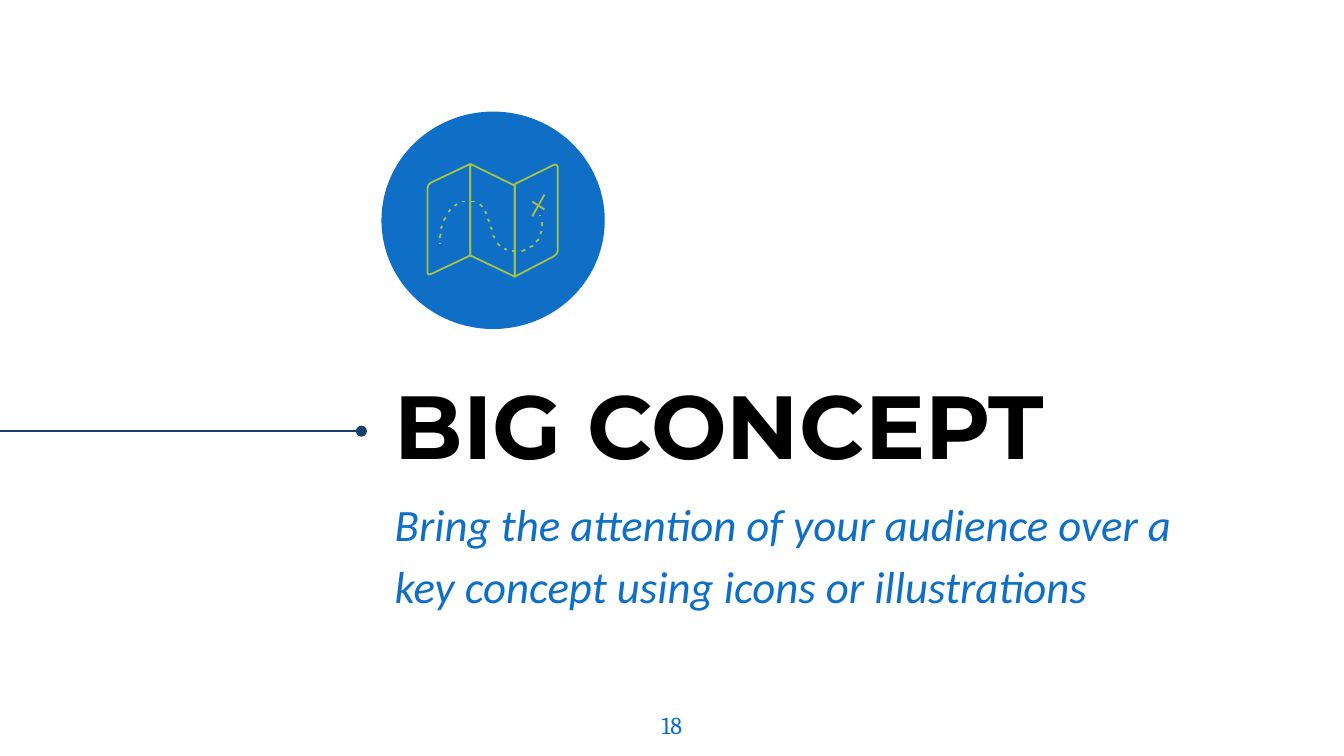
from lxml import etree
from pptx import Presentation
from pptx.dml.color import RGBColor
from pptx.enum.shapes import MSO_CONNECTOR, MSO_SHAPE
from pptx.enum.text import MSO_ANCHOR, MSO_AUTO_SIZE, PP_ALIGN
from pptx.oxml.ns import qn
from pptx.util import Cm, Pt

STRAIGHT = MSO_CONNECTOR.STRAIGHT
OVAL = MSO_SHAPE.OVAL
TOP, BOTTOM = MSO_ANCHOR.TOP, MSO_ANCHOR.BOTTOM
LEFT, CENTER = PP_ALIGN.LEFT, PP_ALIGN.CENTER
NO_AUTOFIT = MSO_AUTO_SIZE.NONE

BLACK = RGBColor(0x00, 0x00, 0x00)
WHITE = RGBColor(0xFF, 0xFF, 0xFF)
BLUE = RGBColor(0x0F, 0x6F, 0xC6)
NAVY = RGBColor(0x17, 0x40, 0x6D)
GREEN = RGBColor(0xA5, 0xC2, 0x49)

TITLE = "BIG CONCEPT"
SUBTITLE = "Bring the attention of your audience over a key concept using icons or illustrations"
PAGE_NUMBER = "18"

ICON_UNIT = Cm(0.01)
MAP_PANELS = [
    [(973, 351), (889, 310), (889, 483), (973, 523)],
    [(889, 310), (815, 345), (810, 349), (808, 356), (808, 516),
     (810, 519), (815, 518), (889, 483)],
    [(1046, 312), (973, 348), (973, 523), (1046, 485), (1052, 480),
     (1054, 475), (1054, 315), (1052, 312), (1049, 311)],
]
CROSS = [
    [(1006, 381), (1029, 396)],
    [(1029, 368), (1006, 409)],
]
ROUTE_DASHES = [
    [(831, 462), (831, 460)], [(831, 450), (833, 442)],
    [(833, 432), (836, 427)], [(838, 417), (843, 411)],
    [(848, 401), (851, 396)], [(859, 389), (864, 386)],
    [(874, 381), (879, 381)], [(889, 381), (897, 381)],
    [(907, 386), (912, 391)], [(917, 399), (919, 404)],
    [(922, 414), (925, 419)], [(927, 429), (930, 434)],
    [(932, 445), (935, 450)], [(940, 460), (945, 465)],
    [(953, 470), (958, 472)], [(968, 475), (975, 475)],
    [(986, 475), (993, 472)], [(1001, 467), (1008, 465)],
    [(1013, 457), (1019, 452)], [(1021, 442), (1024, 437)],
    [(1024, 427), (1024, 419)], [(1021, 409), (1021, 406)],
]


def place(shape, left, top, width, height):
    shape.left, shape.top = Cm(left), Cm(top)
    shape.width, shape.height = Cm(width), Cm(height)


def write(shape, text, font_name, size, color, anchor=TOP, align=LEFT,
          bold=False, italic=False, line_spacing=1.0):
    frame = shape.text_frame
    frame.text = text
    frame.word_wrap = True
    frame.auto_size = NO_AUTOFIT
    frame.vertical_anchor = anchor
    frame.margin_left = frame.margin_right = Cm(0.25)
    frame.margin_top = frame.margin_bottom = Cm(0.25)
    paragraph = frame.paragraphs[0]
    paragraph.alignment = align
    paragraph.space_before = Pt(0)
    paragraph.line_spacing = line_spacing
    font = paragraph.font
    font.name, font.size = font_name, Pt(size)
    font.bold, font.italic = bold, italic
    font.color.rgb = color


def add_outline(slide, points, close):
    builder = slide.shapes.build_freeform(*points[0], scale=ICON_UNIT)
    builder.add_line_segments(points[1:], close=close)
    shape = builder.convert_to_shape()
    shape.shadow.inherit = False
    shape.fill.background()
    shape.line.color.rgb = GREEN
    shape.line.width = Pt(0.96)
    return shape


def add_leader_line(slide):
    line = slide.shapes.add_connector(STRAIGHT, Cm(6.83), Cm(8.15), Cm(0), Cm(8.15))
    line.line.color.rgb = NAVY
    line.line.width = Pt(0.75)
    properties = line.line._get_or_add_ln()
    etree.SubElement(properties, qn("a:headEnd"), type="oval")
    etree.SubElement(line._element.spPr, qn("a:effectLst"))


def main():
    presentation = Presentation()
    presentation.slide_width, presentation.slide_height = Cm(25.4), Cm(14.29)
    slide = presentation.slides.add_slide(presentation.slide_layouts[0])
    slide.background.fill.solid()
    slide.background.fill.fore_color.rgb = WHITE

    add_leader_line(slide)

    title, subtitle = slide.placeholders
    place(title, 7.21, 6.81, 16.28, 2.46)
    write(title, TITLE, "Montserrat", 48, BLACK, anchor=BOTTOM, bold=True)
    place(subtitle, 7.21, 8.99, 16.28, 3.2)
    write(subtitle, SUBTITLE, "Calibri", 24, BLUE, italic=True, line_spacing=1.15)

    circle = slide.shapes.add_shape(OVAL, Cm(7.21), Cm(2.11), Cm(4.22), Cm(4.11))
    circle.shadow.inherit = False
    circle.fill.solid()
    circle.fill.fore_color.rgb = BLUE
    circle.line.fill.background()

    panels = [add_outline(slide, points, True) for points in MAP_PANELS]
    strokes = [add_outline(slide, points, False) for points in CROSS + ROUTE_DASHES]
    slide.shapes.add_group_shape(panels + strokes)

    number = slide.shapes.add_textbox(Cm(11.94), Cm(13.18), Cm(1.52), Cm(1.09))
    write(number, PAGE_NUMBER, "Cambria", 13, BLUE, align=CENTER)

    presentation.save("out.pptx")


if __name__ == "__main__":
    main()
